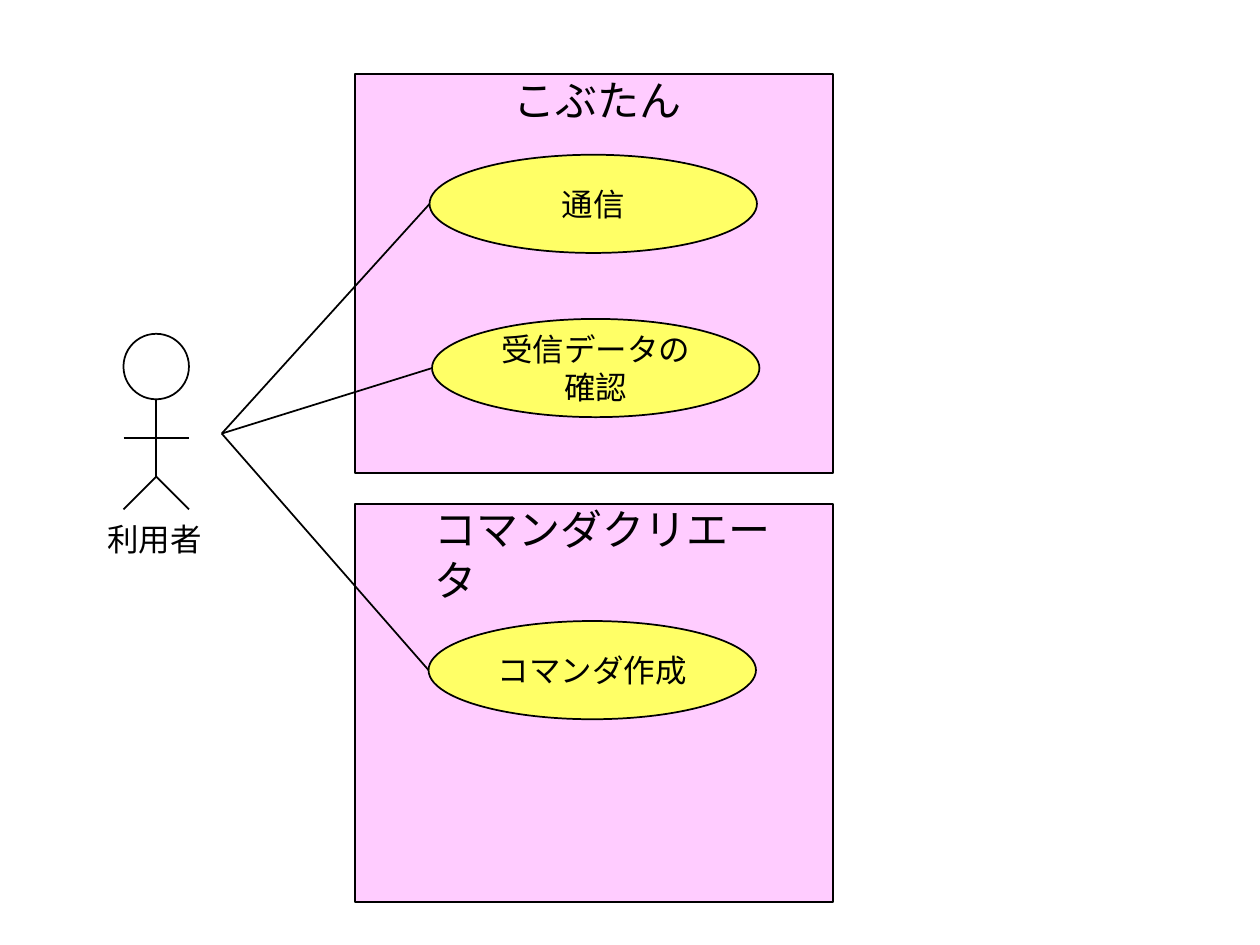
from dataclasses import dataclass

from lxml.etree import SubElement
from pptx import Presentation
from pptx.dml.color import RGBColor
from pptx.enum.shapes import MSO_CONNECTOR as Connector, MSO_SHAPE as Shape
from pptx.enum.text import MSO_ANCHOR as Anchor, MSO_AUTO_SIZE as AutoSize, PP_ALIGN as Align
from pptx.oxml.ns import qn
from pptx.util import Cm, Pt


@dataclass(frozen=True)
class Theme:
    font: str = "Calibri"
    ink: RGBColor = RGBColor(0, 0, 0)
    paper: RGBColor = RGBColor(0xFF, 0xFF, 0xFF)
    system: RGBColor = RGBColor(0xFF, 0xCC, 0xFF)
    use_case: RGBColor = RGBColor(0xFF, 0xFF, 0x66)
    title_size: Pt = Pt(24)
    label_size: Pt = Pt(18)
    line_width: Pt = Pt(1)


THEME = Theme()
SYSTEM_LEFT, SYSTEM_WIDTH, SYSTEM_HEIGHT = 7.16, 9.63, 8.03
USE_CASE_WIDTH, USE_CASE_HEIGHT = 6.6, 1.98
USER_PORT = (4.47, 8.74)


def style_line(line):
    line.color.rgb = THEME.ink
    line.width = THEME.line_width


def write_text(shape, text, size, align):
    frame = shape.text_frame
    frame.word_wrap = True
    paragraph = frame.paragraphs[0]
    paragraph.text = text
    paragraph.alignment = align
    paragraph.font.name = THEME.font
    paragraph.font.size = size
    paragraph.font.color.rgb = THEME.ink


def add_figure(shapes, kind, left, top, width, height, fill):
    shape = shapes.add_shape(kind, Cm(left), Cm(top), Cm(width), Cm(height))
    shape.shadow.inherit = False
    shape.fill.solid()
    shape.fill.fore_color.rgb = fill
    style_line(shape.line)
    return shape


def add_line(shapes, start, end):
    connector = shapes.add_connector(
        Connector.STRAIGHT, *(Cm(value) for value in (*start, *end)))
    style_line(connector.line)
    SubElement(connector.element.spPr, qn("a:effectLst"))


def add_label(shapes, text, left, top, width, height, size):
    box = shapes.add_textbox(Cm(left), Cm(top), Cm(width), Cm(height))
    write_text(box, text, size, Align.LEFT)
    box.text_frame.auto_size = AutoSize.SHAPE_TO_FIT_TEXT


def add_actor(shapes, left, top, size):
    center, right = left + size / 2, left + size
    neck = top + size
    hip = neck + 1.56
    arms, feet = (neck + hip) / 2, hip + size / 2
    actor = shapes.add_group_shape().shapes
    add_figure(actor, Shape.OVAL, left, top, size, size, THEME.paper)
    add_line(actor, (center, neck), (center, hip))
    add_line(actor, (left, arms), (right, arms))
    for foot in (left, right):
        add_line(actor, (center, hip), (foot, feet))


def add_system(shapes, top, title, title_left, title_width):
    add_figure(shapes, Shape.RECTANGLE, SYSTEM_LEFT, top,
               SYSTEM_WIDTH, SYSTEM_HEIGHT, THEME.system)
    add_label(shapes, title, title_left, top - 0.13, title_width, 1.28, THEME.title_size)


def add_use_case(shapes, text, left, top):
    oval = add_figure(shapes, Shape.OVAL, left, top,
                      USE_CASE_WIDTH, USE_CASE_HEIGHT, THEME.use_case)
    write_text(oval, text, THEME.label_size, Align.CENTER)
    oval.text_frame.vertical_anchor = Anchor.MIDDLE
    add_line(shapes, USER_PORT, (left, top + USE_CASE_HEIGHT / 2))


def main():
    presentation = Presentation()
    presentation.slide_width, presentation.slide_height = Cm(25.4), Cm(19.05)
    slide = presentation.slides.add_slide(presentation.slide_layouts[6])
    shapes = slide.shapes

    add_actor(shapes, 2.49, 6.73, 1.32)
    add_label(shapes, "利用者", 1.91, 10.36, 2.59, 1.02, THEME.label_size)

    add_system(shapes, 1.5, "こぶたん", 10.11, 4.04)
    add_system(shapes, 10.16, "コマンダクリエータ", 8.51, 7.39)

    for text, left, top in (
        ("通信", 8.66, 3.12),
        ("受信データの確認", 8.71, 6.43),
        ("コマンダ作成", 8.64, 12.52),
    ):
        add_use_case(shapes, text, left, top)

    presentation.save("out.pptx")


if __name__ == "__main__":
    main()
